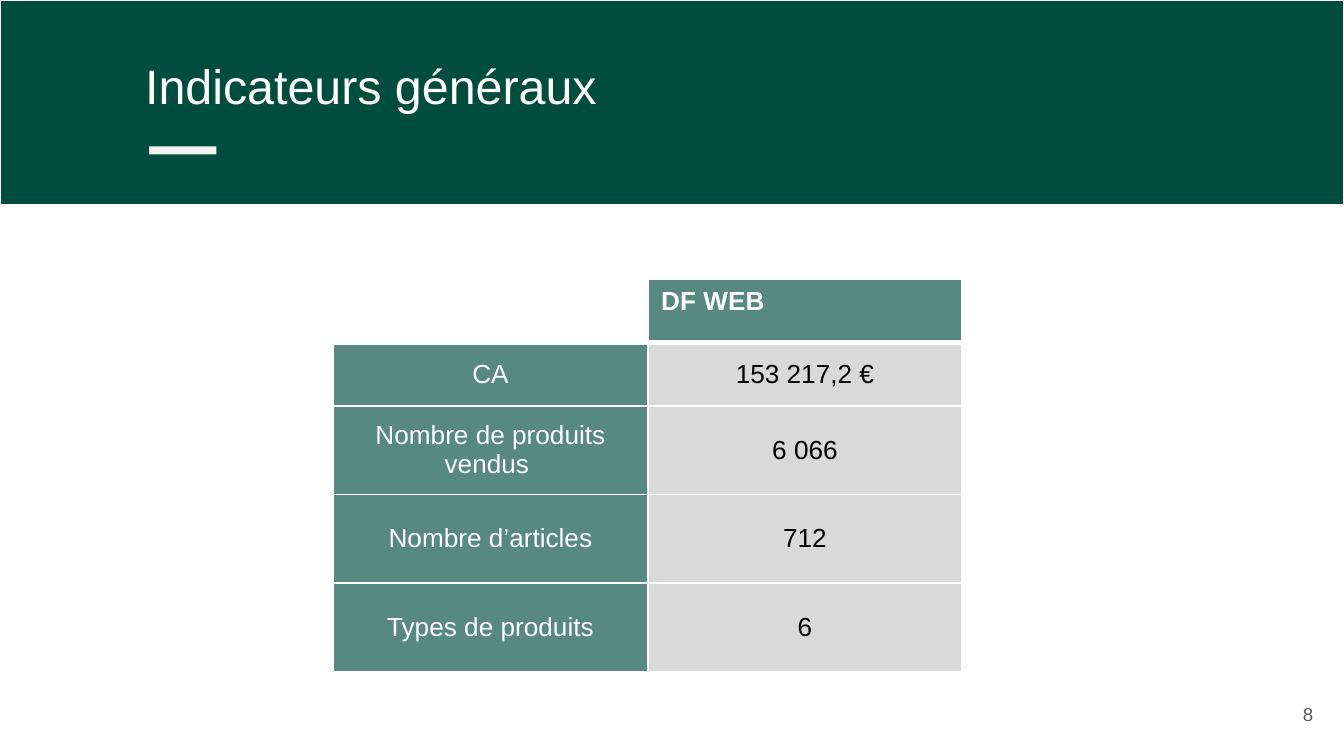
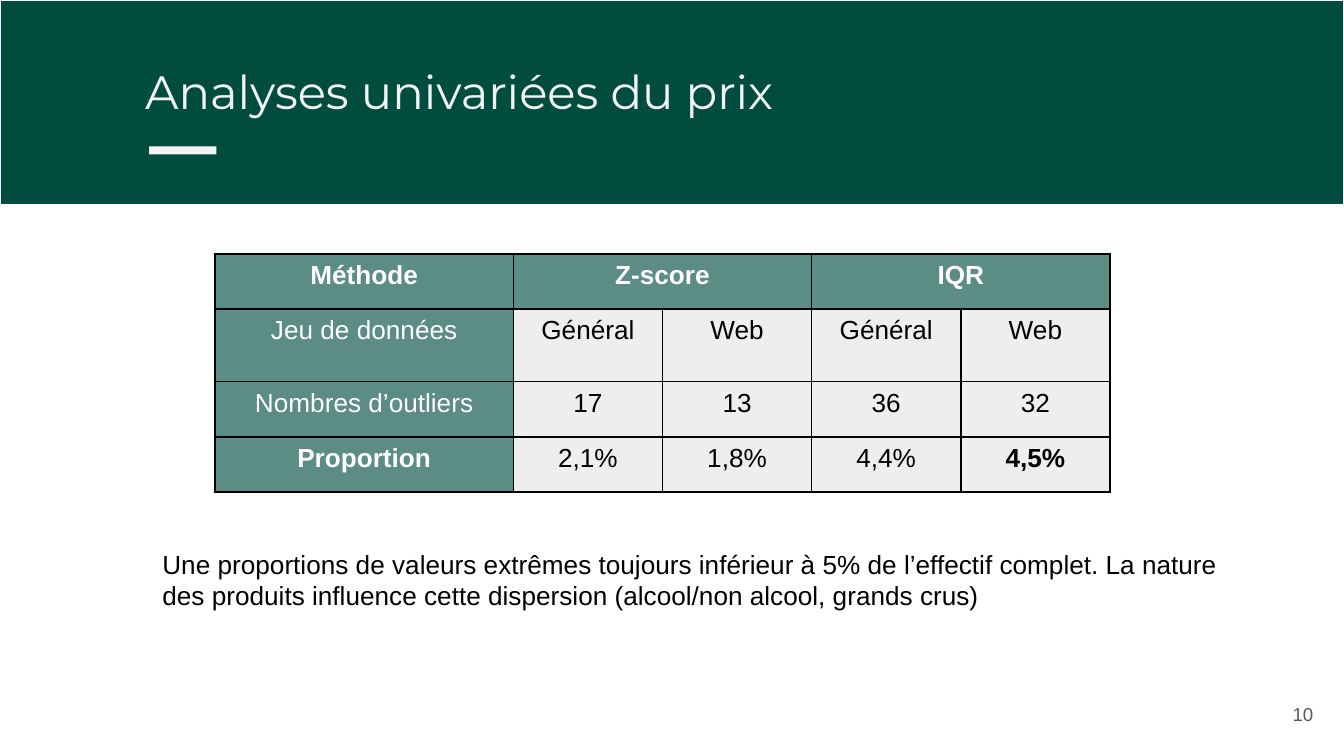
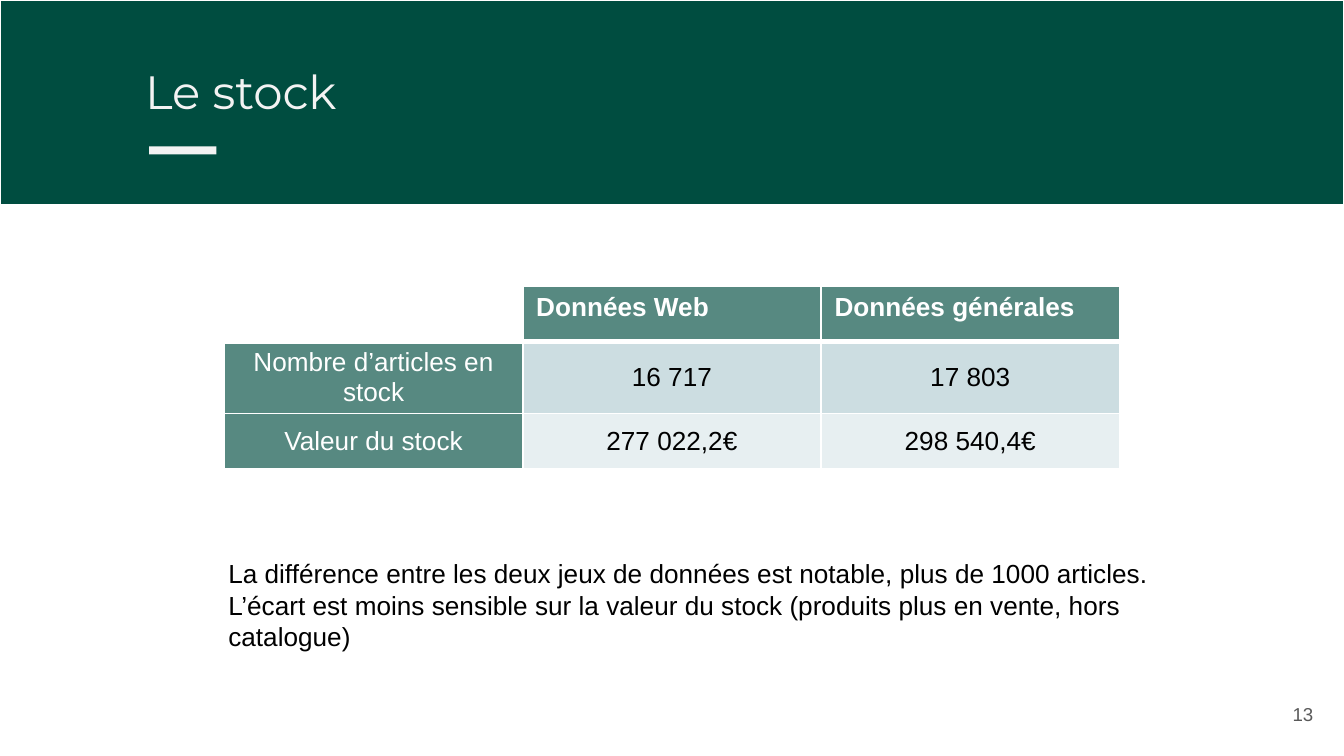
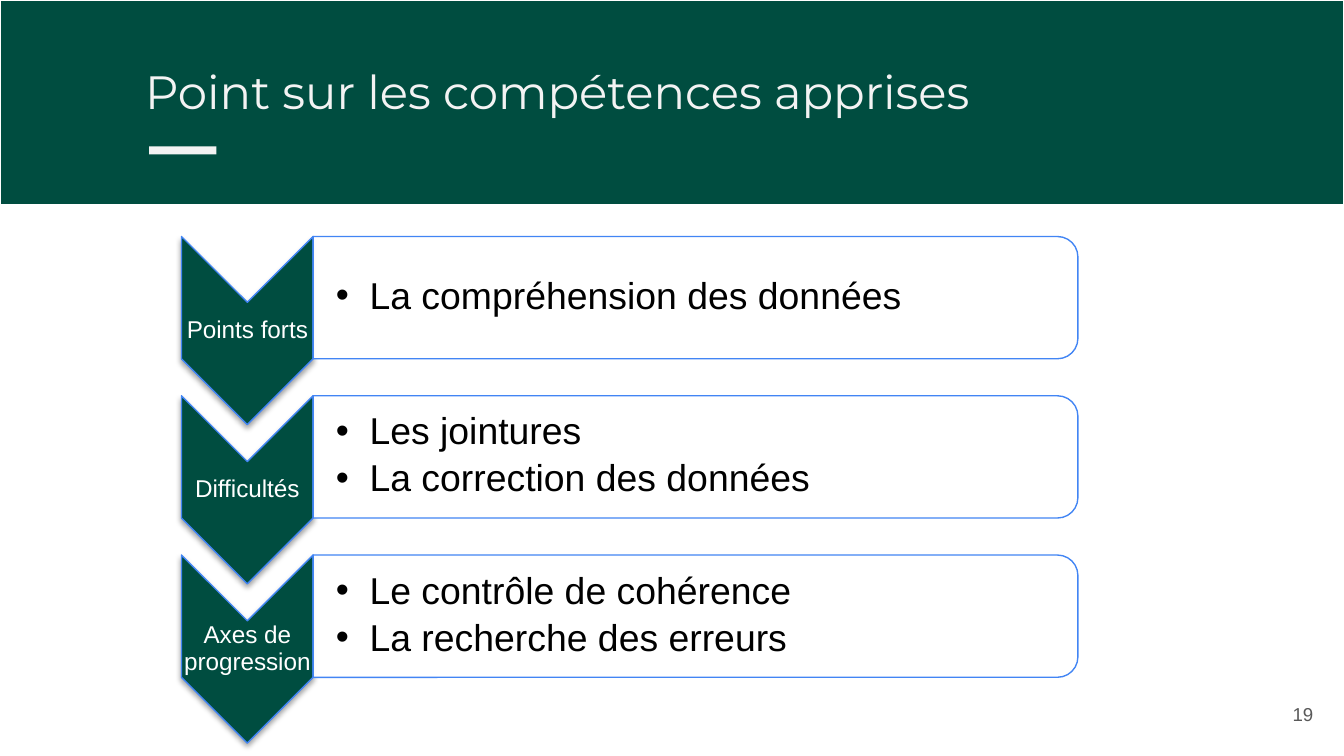
from lxml.etree import SubElement
from pptx import Presentation
from pptx.dml.color import RGBColor
from pptx.enum.shapes import MSO_SHAPE
from pptx.enum.text import MSO_ANCHOR, MSO_AUTO_SIZE, PP_ALIGN
from pptx.oxml.ns import qn
from pptx.util import Inches, Pt

# Shared colours and fonts
GREEN = RGBColor(0x00, 0x4D, 0x40)
WHITE = RGBColor(0xFF, 0xFF, 0xFF)
OFF_WHITE = RGBColor(0xF3, 0xF3, 0xF3)
BLACK = RGBColor(0x00, 0x00, 0x00)
BLUE = RGBColor(0x42, 0x85, 0xF4)
NUMBER_GREY = RGBColor(0x59, 0x59, 0x59)
MID_GREY = RGBColor(0xD9, 0xD9, 0xD9)
LIGHT_GREY = RGBColor(0xEE, 0xEE, 0xEE)
PALE_BLUE = RGBColor(0xCC, 0xDD, 0xE1)
PALER_BLUE = RGBColor(0xE7, 0xEF, 0xF1)
BODY_FONT = "Arial"
TITLE_FONT = "Montserrat"


def place(shape, left, top, width, height):
    shape.left, shape.top = Inches(left), Inches(top)
    shape.width, shape.height = Inches(width), Inches(height)


def set_fill(target, element, color, opacity=100):
    target.fill.solid()
    target.fill.fore_color.rgb = color
    if opacity < 100:
        tint = element.find(qn("a:solidFill")).find(qn("a:srgbClr"))
        SubElement(tint, qn("a:alpha"), val=str(opacity * 1000))


def add_span(para, text, size, color, font=BODY_FONT, bold=False):
    span = para.add_run()
    span.text = text
    span.font.name = font
    span.font.size = Pt(size)
    span.font.bold = bold
    span.font.color.rgb = color


def add_bullet(para, color):
    para.level = 1
    properties = para._p.get_or_add_pPr()
    properties.set("marL", str(Inches(0.25)))
    properties.set("indent", str(-Inches(0.25)))
    SubElement(SubElement(properties, qn("a:buClr")), qn("a:srgbClr"), val=str(color))
    SubElement(properties, qn("a:buFont"), typeface=BODY_FONT)
    SubElement(properties, qn("a:buChar"), char="•")


def set_frame(frame, anchor, margins):
    frame.word_wrap = True
    frame.auto_size = MSO_AUTO_SIZE.NONE
    frame.vertical_anchor = anchor
    (frame.margin_left, frame.margin_top,
     frame.margin_right, frame.margin_bottom) = [Inches(m) for m in margins]


def add_text(page, area, lines, size, color, align=PP_ALIGN.LEFT,
             anchor=MSO_ANCHOR.TOP, margins=(0.1, 0.05, 0.1, 0.05),
             spacing=None, gap=0, bullets=False):
    box = page.shapes.add_textbox(*[Inches(n) for n in area])
    frame = box.text_frame
    set_frame(frame, anchor, margins)
    for index, line in enumerate(lines):
        para = frame.add_paragraph() if index else frame.paragraphs[0]
        para.alignment = align
        para.line_spacing = spacing
        if index:
            para.space_before = Pt(gap)
        if bullets:
            add_bullet(para, color)
        add_span(para, line, size, color)


def add_shape(page, kind, area, color, opacity=100, outline=None):
    shape = page.shapes.add_shape(kind, *[Inches(n) for n in area])
    shape.shadow.inherit = False
    set_fill(shape, shape._element.spPr, color, opacity)
    if outline is None:
        shape.line.fill.background()
    else:
        shape.line.color.rgb = outline
        shape.line.width = Pt(0.75)
    return shape


def add_page(deck, title, number, font=TITLE_FONT, size=25, color=OFF_WHITE, spacing=None):
    """Page with the green band, its title, the short bar and the page number."""
    page = deck.slides.add_slide(deck.slide_layouts[5])
    add_shape(page, MSO_SHAPE.RECTANGLE, (0, 0, 10, 1.52), GREEN, outline=WHITE)
    heading = page.shapes.title
    page.shapes._spTree.append(heading._element)  # in front of the band
    place(heading, 0.98, 0.37, 9.32, 0.63)
    set_frame(heading.text_frame, MSO_ANCHOR.TOP, [0.1] * 4)
    para = heading.text_frame.paragraphs[0]
    para.alignment = PP_ALIGN.LEFT
    para.line_spacing = spacing
    add_span(para, title, size, color, font)
    add_shape(page, MSO_SHAPE.RECTANGLE, (1.11, 1.09, 0.5, 0.06), OFF_WHITE)
    add_text(page, (9.27, 5.1, 0.6, 0.43), [str(number)], 10, NUMBER_GREY,
             PP_ALIGN.RIGHT, MSO_ANCHOR.MIDDLE, [0.1] * 4)
    return page


def set_borders(cell, color, top=1, bottom=1):
    properties = cell._tc.get_or_add_tcPr()
    sides = {"a:lnL": 1, "a:lnR": 1, "a:lnT": top, "a:lnB": bottom}
    for index, (side, width) in enumerate(sides.items()):
        line = SubElement(properties, qn(side), w=str(Pt(width)))
        SubElement(SubElement(line, qn("a:solidFill")), qn("a:srgbClr"), val=str(color))
        properties.insert(index, line)  # borders come before the fill


def add_table(page, left, top, widths, heights, rows, body_fills, border, opacity,
              bold_cells=(), header_align=PP_ALIGN.LEFT, header_rule=1,
              body_anchor=MSO_ANCHOR.MIDDLE, corner=None):
    """Green header row and first column; body_fills colours the other rows."""
    table = page.shapes.add_table(
        len(heights), len(widths), Inches(left), Inches(top),
        Inches(sum(widths)), Inches(sum(heights))).table
    table.first_row = table.horz_banding = False
    for column, width in zip(table.columns, widths):
        column.width = Inches(width)
    for r, (row, height) in enumerate(zip(rows, heights)):
        table.rows[r].height = Inches(height)
        for c, text in enumerate(row):
            cell = table.cell(r, c)
            properties = cell._tc.get_or_add_tcPr()
            is_label = r == 0 or c == 0
            if r == c == 0 and not text:
                if corner is None:
                    cell.fill.background()
                else:
                    set_fill(cell, properties, corner, opacity)
            elif is_label:
                set_fill(cell, properties, GREEN, opacity)
            else:
                set_fill(cell, properties, body_fills[r - 1])
            set_borders(cell, border, header_rule if r == 1 else 1,
                        header_rule if r == 0 else 1)
            cell.vertical_anchor = body_anchor if r else MSO_ANCHOR.TOP
            if text:
                para = cell.text_frame.paragraphs[0]
                para.alignment = PP_ALIGN.CENTER if r else header_align
                add_span(para, text, 14, WHITE if is_label else BLACK,
                         bold=r == 0 or (r, c) in bold_cells)
    return table


def add_step(page, top, label, points):
    """Downward chevron with its label, next to a rounded panel of points."""
    chevron = add_shape(page, MSO_SHAPE.CHEVRON, (1.14, top + 0.21, 1.4, 0.98),
                        GREEN, outline=BLUE)
    chevron.rotation = 90
    effects = chevron._element.spPr.find(qn("a:effectLst"))
    shadow = SubElement(effects, qn("a:outerShdw"), blurRad=str(Pt(3.1)),
                        dist=str(Pt(1.8)), dir="5400000", rotWithShape="0")
    tint = SubElement(shadow, qn("a:srgbClr"), val=str(BLACK))
    SubElement(tint, qn("a:alpha"), val="35000")
    add_text(page, (1.35, top + 0.49, 0.98, 0.42), [label], 13, WHITE,
             PP_ALIGN.CENTER, MSO_ANCHOR.MIDDLE, [0.01] * 4, spacing=0.9)
    panel = add_shape(page, MSO_SHAPE.ROUND_2_SAME_RECTANGLE,
                      (4.72, top - 2.39, 0.91, 5.69), WHITE, 90, BLUE)
    panel.rotation = 90
    add_text(page, (2.34, top + 0.04, 5.64, 0.82), points, 20, BLACK,
             anchor=MSO_ANCHOR.MIDDLE, margins=(0.16, 0.01, 0.01, 0.01),
             spacing=0.9, gap=3.5, bullets=True)


def main():
    deck = Presentation()
    deck.slide_width = Inches(10)
    deck.slide_height = deck.slide_width * 9 // 16

    # General indicators
    page = add_page(deck, "Indicateurs généraux", 8, BODY_FONT, 25.9, WHITE, 0.9)
    add_table(page, 2.48, 2.08, [2.34] * 2, [0.47] * 2 + [0.66] * 3, [
        ("", "DF WEB"),
        ("CA", "153 217,2 €"),
        ("Nombre de produits vendus ", "6 066"),
        ("Nombre d’articles", "712"),
        ("Types de produits", "6"),
    ], [MID_GREY] * 4, WHITE, 66, header_rule=3, corner=WHITE)

    # Price analysis
    page = add_page(deck, "Analyses univariées du prix", 10)
    table = add_table(page, 1.6, 1.89, [2.22] + [1.11] * 4, [0.41, 0.54, 0.41, 0.41], [
        ("Méthode", "Z-score", "", "IQR", ""),
        ("Jeu de données", "Général", "Web", "Général", "Web"),
        ("Nombres d’outliers", "17", "13", "36", "32"),
        ("Proportion", "2,1%", "1,8%", "4,4%", "4,5%"),
    ], [LIGHT_GREY] * 3, BLACK, 64, [(3, 0), (3, 4)],
        header_align=PP_ALIGN.CENTER, body_anchor=MSO_ANCHOR.TOP)
    for first in (1, 3):
        table.cell(0, first).merge(table.cell(0, first + 1))
    add_text(page, (1.11, 4.03, 8.16, 0.57), [
        "Une proportions de valeurs extrêmes toujours inférieur à 5% de l’effectif complet. "
        "La nature des produits influence cette dispersion (alcool/non alcool, grands crus)",
    ], 14, BLACK)

    # Stock
    page = add_page(deck, "Le stock", 13)
    add_table(page, 1.67, 2.13, [2.22] * 3, [0.41, 0.53, 0.41], [
        ("", "Données Web", "Données générales"),
        ("Nombre d’articles en stock", "16 717", "17 803"),
        ("Valeur du stock", "277 022,2€", "298 540,4€"),
    ], [PALE_BLUE, PALER_BLUE], WHITE, 66, header_rule=3)
    add_text(page, (1.6, 4.1, 7.58, 0.81), [
        "La différence entre les deux jeux de données est notable, plus de 1000 articles. "
        "L’écart est moins sensible sur la valeur du stock (produits plus en vente, hors catalogue)",
    ], 14, BLACK)

    # Skills learned
    page = add_page(deck, "Point sur les compétences apprises", 19)
    steps = [
        ("Points forts", ["La compréhension des données"]),
        ("Difficultés", ["Les jointures", "La correction des données"]),
        ("Axes de progression", ["Le contrôle de cohérence", "La recherche des erreurs"]),
    ]
    first_top, last_top = 1.76, 4.13
    pitch = (last_top - first_top) / (len(steps) - 1)
    for index, (label, points) in enumerate(steps):
        add_step(page, first_top + pitch * index, label, points)

    deck.save("out.pptx")


if __name__ == "__main__":
    main()
